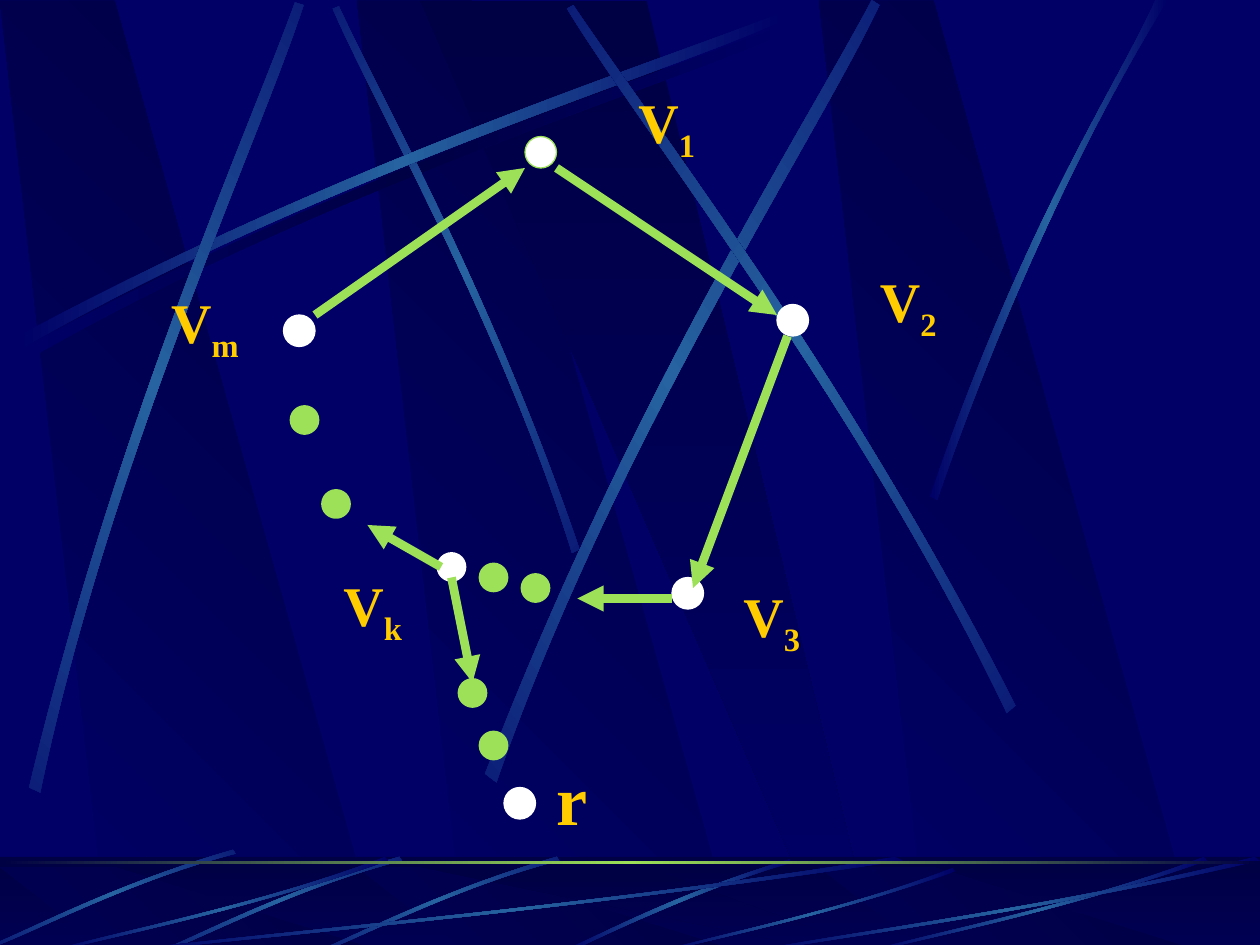
from copy import deepcopy
from math import cos, sin, radians
from pptx import Presentation
from pptx.util import Pt
from pptx.dml.color import RGBColor
from pptx.enum.shapes import MSO_SHAPE, MSO_CONNECTOR
from pptx.enum.text import PP_ALIGN, MSO_ANCHOR
from pptx.oxml.ns import qn
from pptx.oxml.xmlchemy import OxmlElement

HUE = {"navy": "000066", "dark": "000044", "blue": "2663A0",
       "green": "9CE157", "white": "FFFFFF", "gold": "FFCC00"}
RGB = {name: RGBColor.from_string(code) for name, code in HUE.items()}
GLOW = ("navy", "blue", "navy")
SHADE = ("navy", "dark", "navy")

deck = Presentation()
deck.slide_width, deck.slide_height = Pt(720), Pt(540)
slide = deck.slides.add_slide(deck.slide_layouts[6])
shapes = slide.shapes
slide.background.fill.solid()
slide.background.fill.fore_color.rgb = RGB["navy"]


def paint(shape, hues, turn=0):
    """Fill with one hue or an even gradient turned clockwise; no line."""
    shape.shadow.inherit = False
    shape.line.fill.background()
    fill = shape.fill
    if len(hues) == 1:
        fill.solid()
        fill.fore_color.rgb = RGB[hues[0]]
        return
    fill.gradient()
    fill.gradient_angle = (360 - turn) % 360
    stops = shape._element.spPr.find(qn("a:gradFill")).find(qn("a:gsLst"))
    if len(hues) == 3:
        stops.append(deepcopy(stops[0]))
    for i, (stop, hue) in enumerate(zip(fill.gradient_stops, hues)):
        stop.color.rgb = RGB[hue]
        stop.position = i / (len(hues) - 1)


def draw(pts, hues, turn=0, bent=False, spin=0):
    """Closed outline; a bent one is two cubic curves of four points each.

    The points are where they end up after the shape is spun about the origin.
    """
    c, s = cos(radians(spin)), sin(radians(spin))
    pts = [(Pt(x * c + y * s), Pt(y * c - x * s)) for x, y in pts]
    pen = shapes.build_freeform(*pts[0], scale=1.0)
    pen.add_line_segments(pts[1:], close=True)
    shape = pen.convert_to_shape()
    x, y = shape.left + shape.width / 2, shape.top + shape.height / 2
    shape.left = round(x * c - y * s - shape.width / 2)
    shape.top = round(x * s + y * c - shape.height / 2)
    shape.rotation = spin
    if bent:
        sides = list(shape._element.iter(qn("a:lnTo")))
        for trio in (sides[:3], sides[4:7]):
            curve = OxmlElement("a:cubicBezTo")
            trio[0].addprevious(curve)
            for side in trio:
                curve.append(side[0])
                side.getparent().remove(side)
    paint(shape, hues, turn)


# Streaks on the wall: hues, spin, outline
sweep = [(10.1, 192.2), (200.2, 90.7), (373, 36.7), (446.4, 7.2),
         (448.6, 11.5), (375.9, 43.9), (178.6, 102.9), (12.3, 199.4)]
wall = [
    (SHADE, 0, [(x + 4.3, y + 5.8) for x, y in sweep]),
    (GLOW, 45, [(331.2, 313.9), (281.5, 168.5), (217.4, 55.4), (193.7, 3.6),
                (190.1, 5), (212.4, 56.9), (286.6, 185.8), (326.9, 316.1)]),
    (GLOW, 0, sweep),
    (GLOW, 311.7, [(16.6, 450), (67, 240.5), (141.8, 75.6), (168.5, 1.4),
                   (173.5, 2.9), (149, 78.5), (61.9, 265), (23, 452.9)]),
    (GLOW, 321.6, [(277.2, 442.1), (358.6, 230.4), (459.4, 73.4), (498.2, 0),
                   (502.6, 2.9), (467.3, 77.8), (349.9, 255.6), (283.7, 447.1)]),
    (GLOW, 34.8, [(580.3, 403.2), (482.4, 211), (371.5, 68.4), (327.6, 2.9),
                  (324, 5), (365, 72.7), (493.2, 234), (575.3, 407.5)]),
    (GLOW, 0, [(531.4, 283.7), (586.1, 124.6), (639.4, 47.5), (660.2, 0),
               (667.4, 0), (601.9, 104.4), (553.7, 231.8), (535.7, 285.8)]),
]

# Panels, first on the wall and then on the floor
for top, base in ((0.5, 541), (495.5, 543.5)):
    if top > 1:
        floor = shapes.add_shape(MSO_SHAPE.RECTANGLE, 0, Pt(489.6), Pt(720), Pt(54))
        paint(floor, ("dark", "navy"), 90)
    for x in (204, 0, 468):
        draw([(x + 62, base), (x + 217.5, base), (x + 65.5, top), (x, top)],
             ("navy", "dark"), 315)
    draw([(240, top), (474, base), (500, base), (369.5, top)], ("dark", "navy"), 90)
    if top < 1:
        for hues, spin, pts in wall:
            draw(pts, hues, 0, True, spin)

# Half-clear veil over the floor
veil = shapes.add_shape(MSO_SHAPE.RECTANGLE, 0, Pt(489.6), Pt(720), Pt(54))
paint(veil, ("dark",))
alpha = OxmlElement("a:alpha")
alpha.set("val", "50000")
veil._element.spPr.find(qn("a:solidFill"))[0].append(alpha)

# Streaks on the floor
draw([(451.4, 491), (386.6, 510.5), (343.4, 534.2), (322.6, 542.9),
      (326.2, 543.6), (352.8, 530.6), (411.1, 504), (452.2, 493.2)], GLOW, 0, True)
short = [(318.2, 489.6), (255.6, 507.6), (206.6, 532.8), (184.3, 542.2),
         (185, 543.6), (207.4, 535), (262.8, 506.2), (319.7, 491.8)]
for dx, dy in ((0, 0), (90, 0), (185, 4)):
    draw([(x - dx, y - dy) for x, y in short], GLOW, 0, True, 314.9)
unit = [(1, 0.04), (0.57, 0.57), (0.17, 0.85), (0.01, 1),
        (0, 0.99), (0.17, 0.81), (0.62, 0.51), (0.99, 0)]
for x, y, w, h in ((72, 489.6, 444, 54), (30, 489.6, 192, 54), (379.5, 496, 166.5, 47.5),
                   (498, 489.6, 192, 54), (432, 489.6, 288, 54)):
    draw([(x + u * w, y + v * h) for u, v in unit], GLOW, 0, True)

# Bright edge of the floor
edge = shapes.add_shape(MSO_SHAPE.RECTANGLE, 0, Pt(492.2), Pt(720), Pt(1.8))
paint(edge, ("dark", "green", "dark"))

# Nodes and dots: left, top, size, fill, line, line width
nodes = [(300, 78, 18, "white", "green", 0.75)]
nodes += [(x, y, 18, "white", "white", 0.75)
          for x, y in ((162, 180), (384, 330), (444, 174), (288, 450))]
nodes += [(252, 318, 12, "white", "white", 5)]
nodes += [(x, y, 12, "green", "green", 5)
          for x, y in ((276, 324), (300, 330), (264, 390),
                       (168, 234), (186, 282), (276, 420))]
for x, y, size, hue, rim, width in nodes:
    node = shapes.add_shape(MSO_SHAPE.OVAL, Pt(x), Pt(y), Pt(size), Pt(size))
    paint(node, (hue,))
    node.line.color.rgb = RGB[rim]
    node.line.width = Pt(width)

# Arrows
for ends in ((318, 96, 444, 180), (450, 192, 396, 336), (384, 342, 330, 342),
             (180, 180, 300, 96), (258, 330, 270, 390), (252, 324, 210, 300)):
    arrow = shapes.add_connector(MSO_CONNECTOR.STRAIGHT, *map(Pt, ends))
    arrow.line.color.rgb = RGB["green"]
    arrow.line.width = Pt(5)
    tip = OxmlElement("a:tailEnd")
    tip.set("type", "triangle")
    arrow.line._get_or_add_ln().append(tip)
    arrow._element.spPr.append(OxmlElement("a:effectLst"))

# Labels
look = {"name": "Times New Roman", "bold": True}
for x, y, size, word, sub in ((342, 48, 32, "V", "1"), (480, 150, 32, "V", "2"),
                              (402, 330, 32, "V", "3"), (288, 432, 40, "r", ""),
                              (78, 162, 32, "V", "m"), (174, 324, 32, "V", "k")):
    frame = shapes.add_textbox(Pt(x), Pt(y), Pt(78), Pt(48)).text_frame
    frame.word_wrap = False
    frame.vertical_anchor = MSO_ANCHOR.MIDDLE
    line = frame.paragraphs[0]
    line.alignment = PP_ALIGN.CENTER
    for text in filter(None, (word, sub)):
        run = line.add_run()
        run.text = text
        for key, value in {**look, "size": Pt(size)}.items():
            setattr(run.font, key, value)
        run.font.color.rgb = RGB["gold"]
        if text == sub:
            run.font._element.set("baseline", "-25000")

deck.save("out.pptx")
